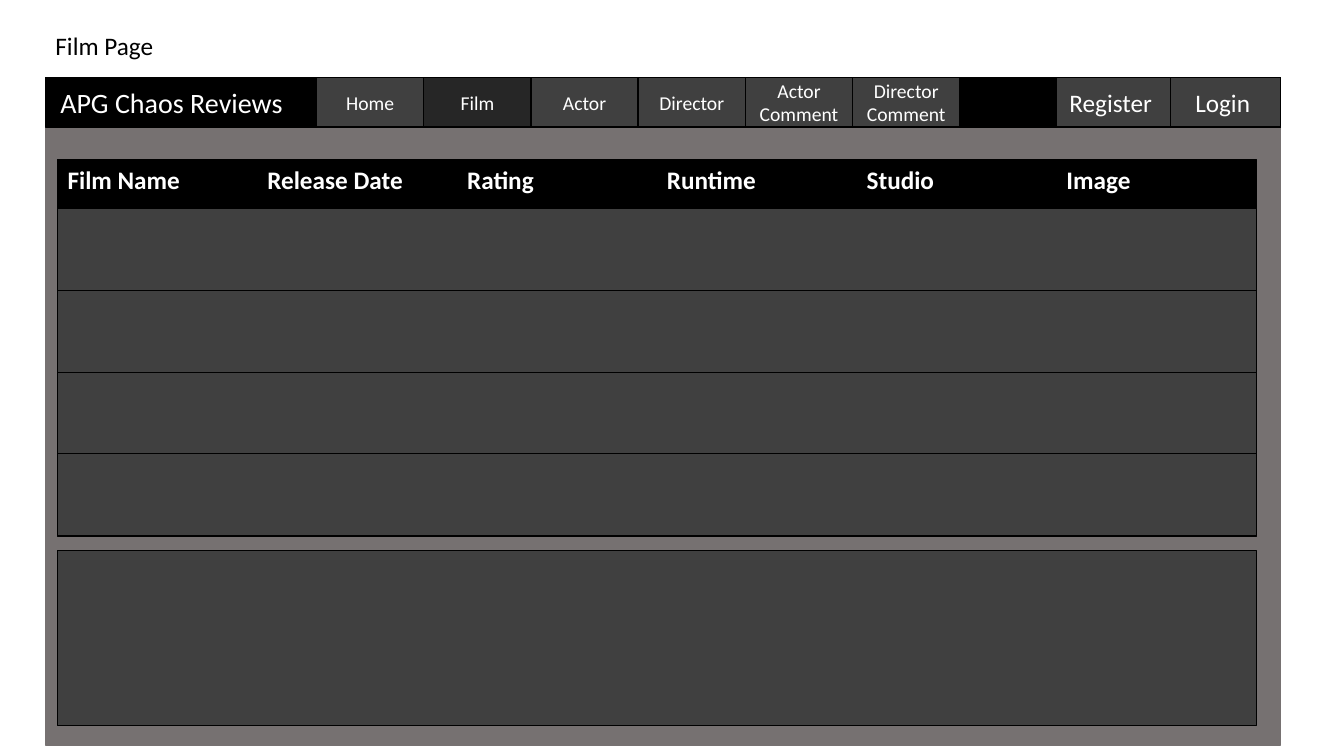
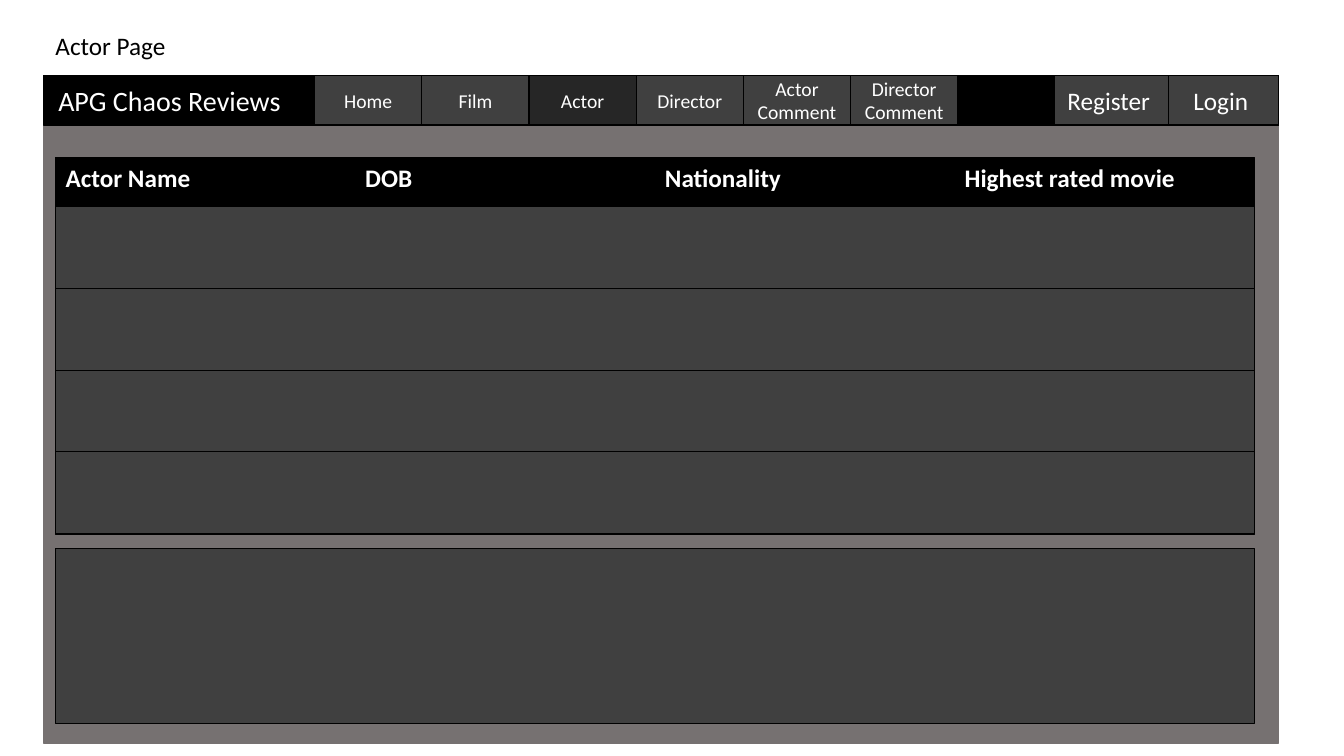
from lxml.etree import SubElement
from pptx import Presentation
from pptx.dml.color import RGBColor
from pptx.enum.shapes import MSO_SHAPE
from pptx.enum.text import MSO_ANCHOR, MSO_AUTO_SIZE, PP_ALIGN
from pptx.oxml.ns import qn
from pptx.util import Inches, Pt

SITE_NAME = "APG Chaos Reviews"
NAV_TABS = ["Home", "Film", "Actor", "Director", "Actor Comment", "Director Comment"]
# label, offset from the frame's left edge, width
ACCOUNT_BUTTONS = [("Register ", 10.03, 1.13), ("Login ", 11.16, 1.09)]

PAGES = [
    {"title": "Film Page", "tab": "Film", "origin": (0.45, 0.77),
     "columns": ["Film Name", "Release Date", "Rating", "Runtime", "Studio", "Image"]},
    {"title": "Actor Page", "tab": "Actor", "origin": (0.43, 0.75),
     "columns": ["Actor Name", "DOB", "Nationality", "Highest rated movie"]},
]

COLORS = {"black": "000000", "white": "FFFFFF", "frame": "767171",
          "panel": "404040", "active": "262626"}
FONT = "Calibri"

FRAME_W, FRAME_H = 12.25, 6.62
BAR_H = 0.49
NAV_LEFT, NAV_W = 2.69, 6.38
PANEL_LEFT, PANEL_W = 0.12, 11.89
TABLE_PANEL_TOP, TABLE_PANEL_H = 0.81, 3.74
TABLE_TOP = 0.82
DETAIL_TOP, DETAIL_H = 4.69, 1.74
HEADER_H, ENTRY_H, ENTRY_COUNT = 0.48, 0.81, 4


def color(name):
    return RGBColor.from_string(COLORS[name])


def style_text(frame, size, font_color="white", bold=False, align=PP_ALIGN.LEFT):
    for paragraph in frame.paragraphs:
        paragraph.alignment = align
        for run in paragraph.runs:
            run.font.name = FONT
            run.font.size = Pt(size)
            run.font.bold = bold
            run.font.color.rgb = color(font_color)


def add_box(slide, left, top, width, height, fill, line="black", weight=1, label="", size=14):
    box = slide.shapes.add_shape(MSO_SHAPE.RECTANGLE, Inches(left), Inches(top),
                                 Inches(width), Inches(height))
    box.shadow.inherit = False
    box.fill.solid()
    box.fill.fore_color.rgb = color(fill)
    box.line.color.rgb = color(line)
    box.line.width = Pt(weight)
    if label:
        box.text_frame.text = label
        box.text_frame.vertical_anchor = MSO_ANCHOR.MIDDLE
        style_text(box.text_frame, size, align=PP_ALIGN.CENTER)


def set_borders(cell, visible_sides):
    """Draw thin black lines on the given sides (of L, R, T, B) and hide the others."""
    properties = cell._tc.get_or_add_tcPr()
    for side in "LRTB":
        border = SubElement(properties, qn(f"a:ln{side}"), w=str(Pt(0.5)))
        if side in visible_sides:
            fill = SubElement(border, qn("a:solidFill"))
            SubElement(fill, qn("a:srgbClr"), val=COLORS["black"])
        else:
            SubElement(border, qn("a:noFill"))


def add_listing(slide, left, top, columns):
    height = HEADER_H + ENTRY_COUNT * ENTRY_H
    table = slide.shapes.add_table(ENTRY_COUNT + 1, len(columns), Inches(left), Inches(top),
                                   Inches(PANEL_W), Inches(height)).table
    table.horz_banding = False
    for column in table.columns:
        column.width = Inches(PANEL_W / len(columns))
    for row_index, row in enumerate(table.rows):
        is_header = row_index == 0
        row.height = Inches(HEADER_H if is_header else ENTRY_H)
        for column_index, cell in enumerate(row.cells):
            sides = "TB"
            if column_index == 0:
                sides += "L"
            if column_index == len(columns) - 1:
                sides += "R"
            set_borders(cell, sides)
            cell.fill.solid()
            cell.fill.fore_color.rgb = color("black" if is_header else "panel")
            if is_header:
                cell.text_frame.text = columns[column_index]
                style_text(cell.text_frame, 18, bold=True)


def set_title(slide, text):
    title = slide.shapes.title
    title.left, title.top = Inches(0.45), Inches(0.25)
    title.width, title.height = Inches(12.18), Inches(0.4)
    title.text_frame.text = text
    title.text_frame.vertical_anchor = MSO_ANCHOR.TOP
    title.text_frame.auto_size = MSO_AUTO_SIZE.NONE
    style_text(title.text_frame, 18, "black")


def add_navigation(slide, left, top, active_tab):
    add_box(slide, left, top, FRAME_W, BAR_H, "black")
    tab_w = NAV_W / len(NAV_TABS)
    for index, tab in enumerate(NAV_TABS):
        add_box(slide, left + NAV_LEFT + index * tab_w, top, tab_w, BAR_H,
                "active" if tab == active_tab else "panel", label=tab)
    for label, offset, width in ACCOUNT_BUTTONS:
        add_box(slide, left + offset, top, width, BAR_H, "panel", label=label, size=18)
    site_name = slide.shapes.add_textbox(Inches(left + 0.05), Inches(top + 0.03),
                                         Inches(2.6), Inches(0.44)).text_frame
    site_name.word_wrap = True
    site_name.text = SITE_NAME
    style_text(site_name, 20)


def build_page(prs, page):
    slide = prs.slides.add_slide(prs.slide_layouts[5])
    left, top = page["origin"]
    panel_left = left + PANEL_LEFT
    set_title(slide, page["title"])
    add_box(slide, left, top, FRAME_W, FRAME_H, "frame", line="frame")
    add_navigation(slide, left, top, page["tab"])
    for offset, height in [(DETAIL_TOP, DETAIL_H), (TABLE_PANEL_TOP, TABLE_PANEL_H)]:
        add_box(slide, panel_left, top + offset, PANEL_W, height, "panel", weight=0.75)
    add_listing(slide, panel_left, top + TABLE_TOP, page["columns"])


def main():
    prs = Presentation()
    prs.slide_width, prs.slide_height = Inches(13.33), Inches(7.5)
    for page in PAGES:
        build_page(prs, page)
    prs.save("out.pptx")


if __name__ == "__main__":
    main()
